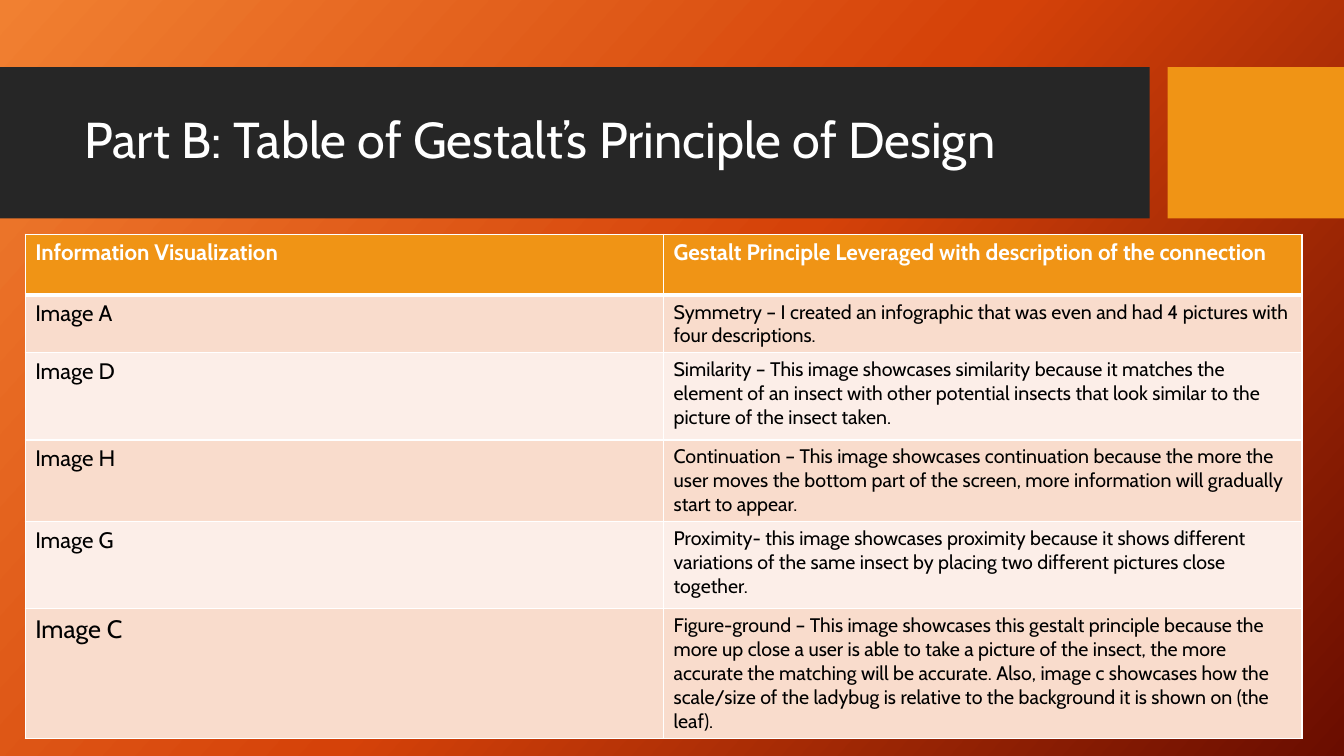
from copy import deepcopy
from dataclasses import dataclass

from lxml.etree import SubElement
from pptx import Presentation
from pptx.dml.color import RGBColor
from pptx.enum.shapes import MSO_SHAPE
from pptx.enum.text import MSO_ANCHOR, MSO_AUTO_SIZE, PP_ALIGN
from pptx.oxml.ns import qn
from pptx.util import Emu, Pt

PX = 9525  # 96 px to the inch


@dataclass(frozen=True)
class Theme:
    font: str = "Cabin"
    white: str = "FFFFFF"
    black: str = "000000"
    charcoal: str = "262626"
    amber: str = "F09415"
    bands: tuple = ("F9DCCC", "FCEEE8")
    backdrop: tuple = ((0, "F18031"), (0.5, "D54209"), (1, "6A0D00"))
    backdrop_angle: int = 42
    title_size: int = 36
    label_size: int = 16
    large_label_size: int = 18
    body_size: int = 14
    rule: int = 1
    header_rule: int = 3


THEME = Theme()

HEADERS = (
    "Information Visualization",
    "Gestalt Principle Leveraged with description of the connection",
)
HEADER_HEIGHT = 58

# label, label size, description, row height in px
PRINCIPLES = (
    ("Image A", THEME.label_size,
     "Symmetry – I created an infographic that was even and had 4 pictures with "
     "four descriptions.", 51),
    ("Image D", THEME.label_size,
     "Similarity – This image showcases similarity because it matches the element "
     "of an insect with other potential insects that look similar to the picture "
     "of the insect taken.", 83),
    ("Image H", THEME.label_size,
     "Continuation – This image showcases continuation because the more the user "
     "moves the bottom part of the screen, more information will gradually start "
     "to appear.", 72),
    ("Image G", THEME.label_size,
     "Proximity- this image showcases proximity because it shows different "
     "variations of the same insect by placing two different pictures close "
     "together.", 83),
    ("Image C", THEME.large_label_size,
     "Figure-ground – This image showcases this gestalt principle because the more "
     "up close a user is able to take a picture of the insect, the more accurate "
     "the matching will be accurate. Also, image c showcases how the scale/size of "
     "the ladybug is relative to the background it is shown on (the leaf).", 114),
)


def px(*lengths):
    return [Emu(length * PX) for length in lengths]


def write(frame, text, *, size, color, bold=False, line_spacing=None):
    para = frame.paragraphs[0]
    para.alignment = PP_ALIGN.LEFT
    if line_spacing:
        para.line_spacing = line_spacing
    span = para.add_run()
    span.text = text
    span.font.name = THEME.font
    span.font.size = Pt(size)
    span.font.bold = bold
    span.font.color.rgb = RGBColor.from_string(color)


def paint_backdrop(page):
    fill = page.background.fill
    fill.gradient()
    fill.gradient_angle = 360 - THEME.backdrop_angle  # counted anticlockwise
    stop_list = page.element.find(".//" + qn("a:gsLst"))
    stop_list.insert(1, deepcopy(stop_list[0]))
    for stop, (position, color) in zip(fill.gradient_stops, THEME.backdrop):
        stop.position = position
        stop.color.rgb = RGBColor.from_string(color)


def add_band(page, left, width, color):
    band = page.shapes.add_shape(MSO_SHAPE.RECTANGLE, *px(left, 64, width, 144))
    band.shadow.inherit = False
    band.fill.solid()
    band.fill.fore_color.rgb = RGBColor.from_string(color)
    band.line.fill.background()


def place_title(page, text):
    title = page.shapes.title
    title.left, title.top, title.width, title.height = px(71, 79, 1009, 113)
    frame = title.text_frame
    frame.word_wrap = True
    frame.auto_size = MSO_AUTO_SIZE.NONE
    frame.vertical_anchor = MSO_ANCHOR.MIDDLE
    write(frame, text, size=THEME.title_size, color=THEME.white, line_spacing=0.9)
    page.shapes.element.append(title.element)  # bring in front of the bands


def set_borders(cell, top, bottom):
    """Rule all four sides in white; top and bottom are widths in points."""
    properties = cell._tc.get_or_add_tcPr()
    widths = {"lnL": THEME.rule, "lnR": THEME.rule, "lnT": top, "lnB": bottom}
    for side, width in widths.items():
        line = SubElement(properties, qn("a:" + side), w=str(Pt(width)))
        fill = SubElement(line, qn("a:solidFill"))
        SubElement(fill, qn("a:srgbClr"), val=THEME.white)


def fill_cell(cell, text, *, fill, top=THEME.rule, bottom=THEME.rule, **text_format):
    set_borders(cell, top, bottom)
    cell.fill.solid()
    cell.fill.fore_color.rgb = RGBColor.from_string(fill)
    write(cell.text_frame, text, **text_format)


def add_principles_table(page):
    heights = [HEADER_HEIGHT] + [principle[-1] for principle in PRINCIPLES]
    frame = page.shapes.add_table(
        len(heights), len(HEADERS), *px(24, 223, 1216, sum(heights)))
    table = frame.table
    for row, height in zip(table.rows, px(*heights)):
        row.height = height
    for column, header in enumerate(HEADERS):
        fill_cell(table.cell(0, column), header, fill=THEME.amber,
                  bottom=THEME.header_rule, size=THEME.label_size,
                  color=THEME.white, bold=True)
    for index, (label, label_size, description, _) in enumerate(PRINCIPLES):
        top = THEME.rule if index else THEME.header_rule
        entries = ((label, label_size), (description, THEME.body_size))
        for column, (text, size) in enumerate(entries):
            fill_cell(table.cell(index + 1, column), text,
                      fill=THEME.bands[index % 2], top=top,
                      size=size, color=THEME.black)


def main():
    deck = Presentation()
    deck.slide_width, deck.slide_height = px(1280, 720)
    page = deck.slides.add_slide(deck.slide_layouts.get_by_name("Title Only"))
    paint_backdrop(page)
    add_band(page, 0, 1095, THEME.charcoal)
    add_band(page, 1112, 168, THEME.amber)
    place_title(page, "Part B: Table of Gestalt’s Principle of Design")
    add_principles_table(page)
    deck.save("out.pptx")


if __name__ == "__main__":
    main()
